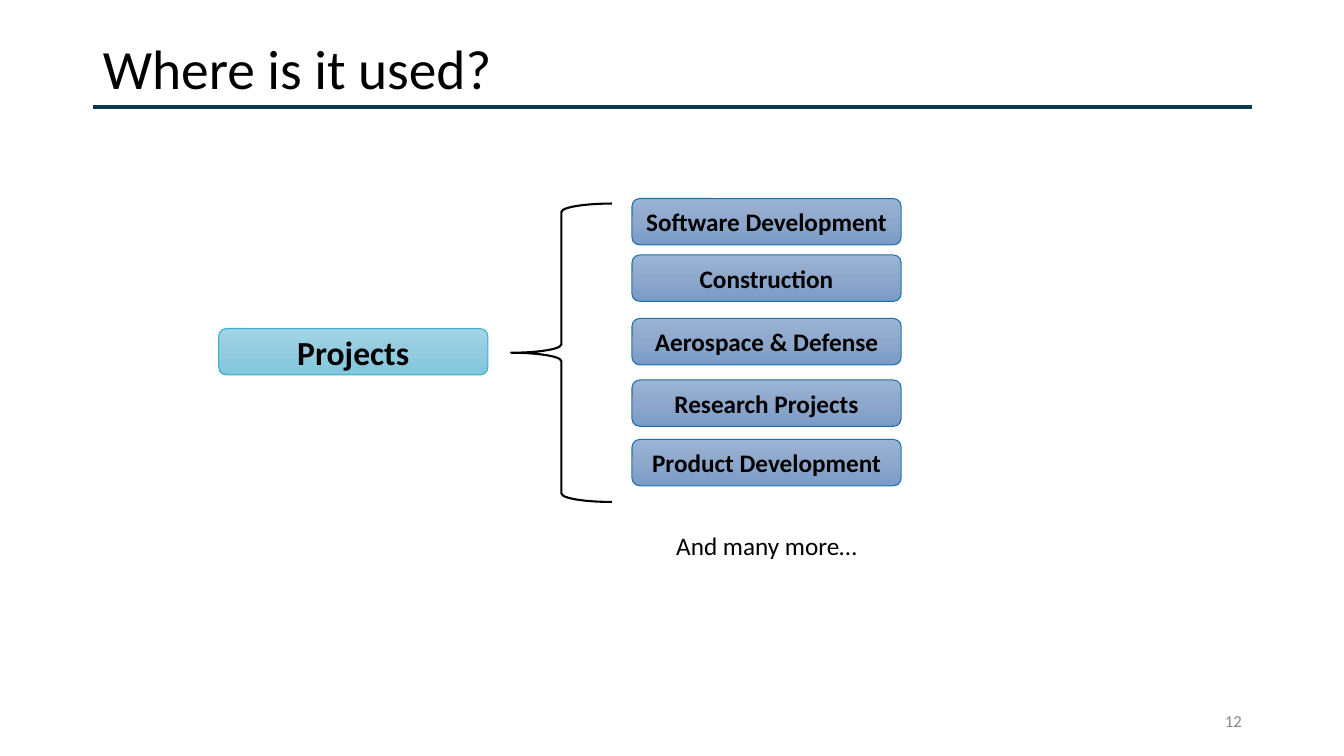
from copy import deepcopy
from dataclasses import dataclass

from pptx import Presentation
from pptx import util as u
from pptx.dml.color import RGBColor
from pptx.enum import shapes, text
from pptx.oxml import parse_xml
from pptx.oxml.ns import nsdecls, qn


@dataclass(frozen=True)
class Theme:
    """Colours, font and type sizes of the slide."""
    font: str = "Calibri"
    ink: str = "000000"
    paper: str = "FFFFFF"
    rule: str = "0E3754"
    mute: str = "888888"
    teal: tuple = ("A2D3E5", "94CCDF", "80C6DE")
    blue: tuple = ("9BB4D5", "8EA8CB", "799BC7")
    tealedge: str = "36AFCE"
    blueedge: str = "1D6FA9"
    title: float = 39.6
    head: float = 24
    item: float = 18
    small: float = 12


THEME = Theme()
CELL = u.Inches(0.1)
COLS, ROWS = 133.33, 75
WIDE, HIGH = 26.7, 4.6
USES = {
    "Software Development": 0,
    "Construction": 5.6,
    "Aerospace & Defense": 11.9,
    "Research Projects": 18,
    "Product Development": 23.9,
    "And many more…": 32.1,
}


def grid(*cells):
    """Turn grid counts into slide lengths."""
    return [round(cell * CELL) for cell in cells]


def tint(code):
    """Give the colour of a hex code."""
    return RGBColor.from_string(code)


def write(shape, words, size, color=THEME.ink, bold=False,
          align=text.PP_ALIGN.LEFT, lead=None):
    """Put one formatted paragraph into a shape."""
    frame = shape.text_frame
    frame.word_wrap = True
    frame.auto_size = text.MSO_AUTO_SIZE.NONE
    frame.vertical_anchor = text.MSO_ANCHOR.MIDDLE
    para = frame.paragraphs[0]
    para.alignment = align
    if lead:
        para.line_spacing = lead
    run = para.add_run()
    run.text = words
    font = run.font
    font.name, font.size, font.bold = THEME.font, u.Pt(size), bold
    font.color.rgb = tint(color)


def shade(shape, tones):
    """Fill a shape from top to bottom with three tones."""
    shape.fill.gradient()
    shape.fill.gradient_angle = 270
    first = shape._element.spPr.find(".//" + qn("a:gs"))
    first.addnext(deepcopy(first))
    for stop, tone, place in zip(shape.fill.gradient_stops, tones, (0, 0.5, 1)):
        stop.color.rgb = tint(tone)
        stop.position = place


def pill(slide, left, top, words, size, tones=None, edge=None):
    """Draw a rounded box with a centred label."""
    box = slide.shapes.add_shape(shapes.MSO_SHAPE.ROUNDED_RECTANGLE,
                                 *grid(left, top, WIDE, HIGH))
    box.shadow.inherit = False
    if tones:
        shade(box, tones)
        box.line.color.rgb = tint(edge)
        box.line.width = u.Pt(0.75)
    else:
        box.fill.solid()
        box.fill.fore_color.rgb = tint(THEME.paper)
        box.line.fill.background()
    write(box, words, size, bold=bool(tones), align=text.PP_ALIGN.CENTER)


def header(slide, left, top, width, words):
    """Place the title above its rule."""
    title = slide.shapes.title
    title.left, title.top, title.width, title.height = grid(
        left, top, width - 9.3, 6.2)
    write(title, words, THEME.title, lead=0.9)
    base = top + 6.6
    rule = slide.shapes.add_connector(shapes.MSO_CONNECTOR.STRAIGHT,
                                      *grid(left, base, left + width, base))
    rule.line.color.rgb = tint(THEME.rule)
    rule.line.width = u.Pt(3)
    rule._element.spPr.append(parse_xml(f"<a:effectLst {nsdecls('a')}/>"))


def brace(slide, left, top, width, height):
    """Draw the brace that opens to the right."""
    mark = slide.shapes.add_shape(shapes.MSO_SHAPE.LEFT_BRACE,
                                  *grid(left, top, width, height))
    mark.shadow.inherit = False
    mark.fill.background()
    mark.line.color.rgb = tint(THEME.ink)
    mark.line.width = u.Pt(1.5)


def tree(slide, left, top):
    """Place the topic, its brace and the column of uses."""
    pill(slide, left, top + 12.9, "Projects", THEME.head,
         THEME.teal, THEME.tealedge)
    brace(slide, left + 29, top + 0.5, 10, 29.6)
    *_, last = USES
    for words, drop in USES.items():
        look = () if words == last else (THEME.blue, THEME.blueedge)
        pill(slide, left + 41, top + drop, words, THEME.item, *look)


def footer(slide, left, top, width, number):
    """Place the page number at the right."""
    box = slide.shapes.add_textbox(*grid(left, top, width, 4))
    write(box, number, THEME.small, THEME.mute, align=text.PP_ALIGN.RIGHT)


def main():
    """Build and save the slide."""
    deck = Presentation()
    deck.slide_width, deck.slide_height = grid(COLS, ROWS)
    slide = deck.slides.add_slide(deck.slide_layouts[5])
    header(slide, 9.2, 4, 115, "Where is it used?")
    tree(slide, 21.7, 19.7)
    footer(slide, 94.2, 69.5, 30, "12")
    deck.save("out.pptx")


if __name__ == "__main__":
    main()
